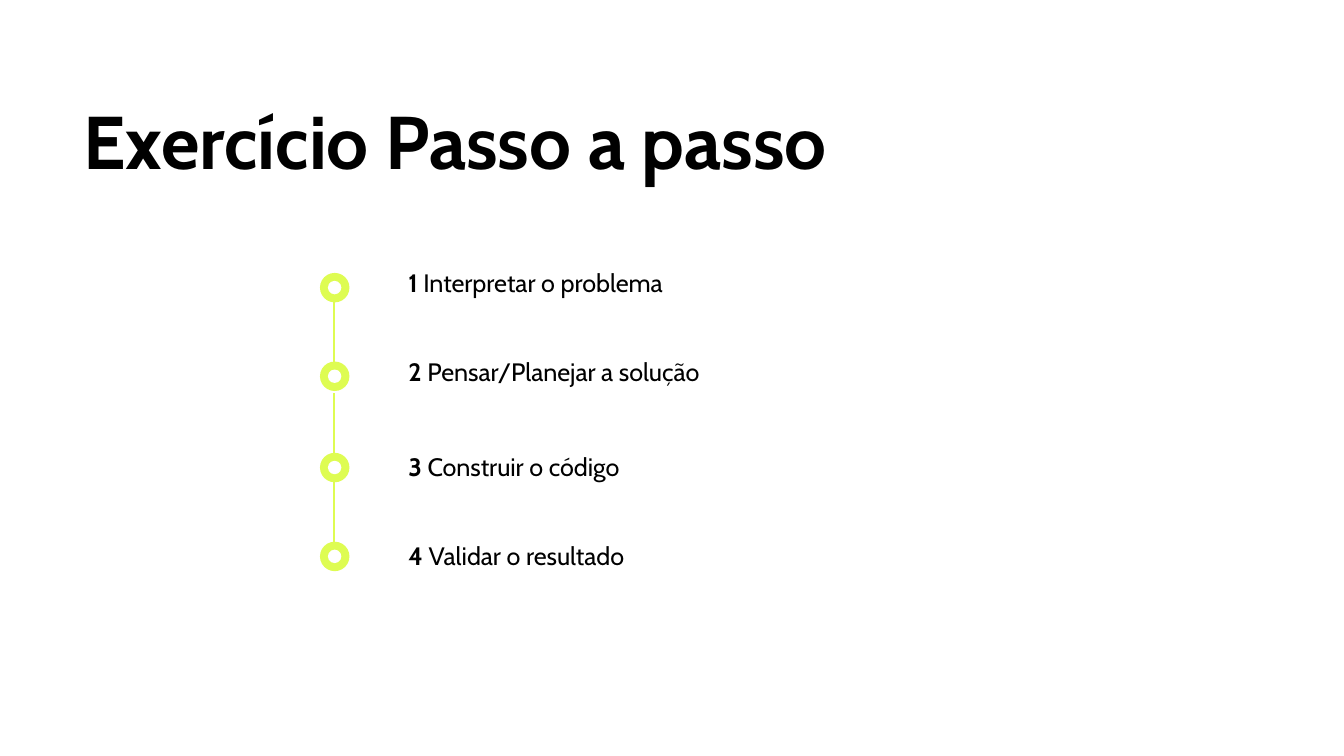
from lxml.etree import SubElement
from pptx import Presentation
from pptx.dml.color import RGBColor
from pptx.enum.shapes import MSO_CONNECTOR, MSO_SHAPE
from pptx.enum.text import MSO_ANCHOR, MSO_AUTO_SIZE, PP_ALIGN
from pptx.oxml.ns import qn
from pptx.util import Pt

LIME = RGBColor(0xDE, 0xFC, 0x52)
WHITE = RGBColor(0xFF, 0xFF, 0xFF)
BLACK = RGBColor(0x00, 0x00, 0x00)
FONT = "Cabin"
RING, HOLE, LINK = 15.8, 7.2, 32
STEPS = [
    ("Interpretar o problema", 10.1, 0),
    ("Pensar/Planejar a solução", 57.6, 47.5),
    ("Construir o código", 106.5, 98.6),
    ("Validar o resultado", 154.1, 146.1),
]


def set_frame(frame, anchor):
    """Give a text frame the slide's insets, wrapping and anchor."""
    frame.margin_left = frame.margin_right = Pt(7.2)
    frame.margin_top = frame.margin_bottom = Pt(7.2)
    frame.word_wrap = True
    frame.auto_size = MSO_AUTO_SIZE.NONE
    frame.vertical_anchor = anchor


def set_font(font, size):
    """Apply the slide's typeface and colour at the given size."""
    font.name = FONT
    font.size = Pt(size)
    font.color.rgb = BLACK


def place_title(slide, left, top, width, height):
    """Move and format the title placeholder."""
    title = slide.shapes.title
    title.left, title.top, title.width, title.height = map(Pt, (left, top, width, height))
    set_frame(title.text_frame, MSO_ANCHOR.TOP)
    heading = title.text_frame.paragraphs[0]
    heading.text = "Exercício Passo a passo"
    heading.alignment = PP_ALIGN.LEFT
    heading.line_spacing = 0.9
    set_font(heading.font, 40)
    heading.font.bold = True


def add_marker(slide, left, top):
    """Add a lime ring with a white centre."""
    marker = slide.shapes.add_group_shape()
    inset = (RING - HOLE) / 2
    for offset, size, color in ((0, RING, LIME), (inset, HOLE, WHITE)):
        disc = marker.shapes.add_shape(
            MSO_SHAPE.OVAL, Pt(left + offset), Pt(top + offset), Pt(size), Pt(size))
        disc.shadow.inherit = False
        disc.fill.solid()
        disc.fill.fore_color.rgb = color
        disc.line.fill.background()


def add_link(slide, x, bottom):
    """Add the thin vertical line that leads down to a marker."""
    link = slide.shapes.add_connector(
        MSO_CONNECTOR.STRAIGHT, Pt(x), Pt(bottom - LINK), Pt(x), Pt(bottom))
    link.line.color.rgb = LIME
    link.line.width = Pt(0.75)
    SubElement(link.line._get_or_add_ln().getparent(), qn("a:effectLst"))


def add_label(slide, left, top, width, number, wording):
    """Add a step's bold number and its wording."""
    label = slide.shapes.add_textbox(Pt(left), Pt(top), Pt(width), Pt(31))
    set_frame(label.text_frame, MSO_ANCHOR.TOP)
    line = label.text_frame.paragraphs[0]
    set_font(line.font, 13.5)
    for text, bold in ((f"{number} ", True), (wording, False)):
        run = line.add_run()
        run.text = text
        run.font.bold = bold


def add_timeline(slide, left, top, width):
    """Add the vertical timeline of numbered steps."""
    label_offset = 40.3
    for number, (wording, marker_top, label_top) in enumerate(STEPS, 1):
        add_marker(slide, left, top + marker_top)
        if number > 1:
            add_link(slide, left + 7.5, top + marker_top)
        add_label(slide, left + label_offset, top + label_top,
                  width - label_offset, number, wording)


def main():
    """Build and save the slide."""
    deck = Presentation()
    deck.slide_width, deck.slide_height = Pt(720), Pt(405)
    slide = deck.slides.add_slide(deck.slide_layouts[5])
    slide.background.fill.solid()
    slide.background.fill.fore_color.rgb = WHITE
    place_title(slide, 37.4, 49, 641, 58.3)
    add_timeline(slide, 171.4, 136.1, 377.3)
    deck.save("out.pptx")


if __name__ == "__main__":
    main()
